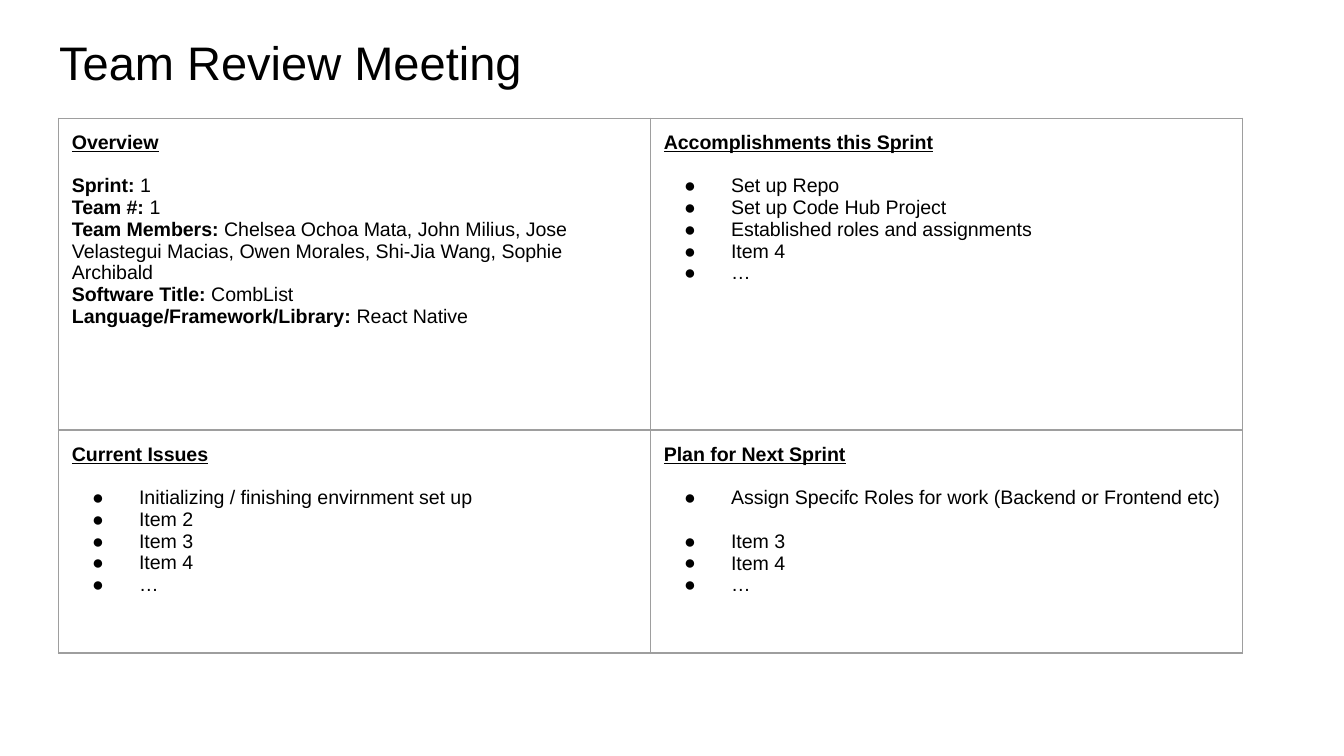
import pptx
import pptx.util
import pptx.dml.color
import pptx.enum.text
from pptx.oxml import parse_xml
from pptx.oxml.ns import nsdecls

Inches, Pt = pptx.util.Inches, pptx.util.Pt
BLACK = pptx.dml.color.RGBColor(0x00, 0x00, 0x00)
GREY = pptx.dml.color.RGBColor(0x9E, 0x9E, 0x9E)
FONT, SIZE, GAP = "Arial", Pt(10.5), Pt(11.7)
WIDTH, ROWS = Inches(8.81), [2.32, 1.66]

# Each cell: heading, then (label, text) lines; no label means a bullet.
CELLS = [
    [("Overview", [
        ("Sprint:", " 1"),
        ("Team #:", " 1"),
        ("Team Members: ", "Chelsea Ochoa Mata, John Milius, Jose Velastegui "
                           "Macias, Owen Morales, Shi-Jia Wang, Sophie Archibald"),
        ("Software Title:", " CombList"),
        ("Language/Framework/Library:", " React Native")]),
     ("Accomplishments this Sprint", [
        ("", "Set up Repo"),
        ("", "Set up Code Hub Project"),
        ("", "Established roles and assignments"),
        ("", "Item 4"),
        ("", "…")])],
    [("Current Issues", [
        ("", "Initializing / finishing envirnment set up"),
        ("", "Item 2"),
        ("", "Item 3"),
        ("", "Item 4"),
        ("", "…")]),
     ("Plan for Next Sprint", [
        ("", "Assign Specifc Roles for work (Backend or Frontend etc)"),
        ("", "Item 3"),
        ("", "Item 4"),
        ("", "…")])],
]
SPACED = CELLS[1][1][1][0][1]  # the one item with a gap below it


def style(para):
    """Set the body font."""
    para.font.name, para.font.size = FONT, SIZE
    para.font.color.rgb = BLACK


def bullet(para):
    """Add a hanging round bullet."""
    props = para._p.get_or_add_pPr()
    props.set("marL", str(Inches(0.5)))
    props.set("indent", str(Inches(-0.35)))
    for mark in (f'<a:buClr {nsdecls("a")}><a:srgbClr val="{BLACK}"/></a:buClr>',
                 f'<a:buSzPts {nsdecls("a")} val="1050"/>',
                 f'<a:buFont {nsdecls("a")} typeface="{FONT}"/>',
                 f'<a:buChar {nsdecls("a")} char="●"/>'):
        props.insert_element_before(
            parse_xml(mark), "a:tabLst", "a:defRPr", "a:extLst")


deck = pptx.Presentation()
deck.slide_width = Inches(10)
deck.slide_height = deck.slide_width * 9 // 16
slide = deck.slides.add_slide(deck.slide_layouts[5])

title = slide.shapes.title
title.left, title.top = Inches(0.34), Inches(0.15)
title.width, title.height = Inches(9.32), Inches(0.63)
frame = title.text_frame
frame.text = "Team Review Meeting"
frame.margin_left = frame.margin_right = Inches(0.1)
frame.margin_top = frame.margin_bottom = Inches(0.1)
frame.vertical_anchor = pptx.enum.text.MSO_ANCHOR.TOP
head = frame.paragraphs[0]
style(head)
head.font.size = Pt(25.2)
head.alignment = pptx.enum.text.PP_ALIGN.LEFT

table = slide.shapes.add_table(
    len(ROWS), 2, Inches(0.435), Inches(0.88),
    WIDTH, Inches(sum(ROWS))).table
table.first_row = table.horz_banding = False
for col in table.columns:
    col.width = WIDTH // 2
for row, height in zip(table.rows, ROWS):
    row.height = Inches(height)

for r, line in enumerate(CELLS):
    for c, (name, items) in enumerate(line):
        cell = table.cell(r, c)
        cell.margin_left = cell.margin_right = Inches(0.1)
        cell.margin_top = cell.margin_bottom = Inches(0.1)
        props = cell._tc.get_or_add_tcPr()
        for side in ("lnL", "lnR", "lnT", "lnB"):
            props.append(parse_xml(
                f'<a:{side} {nsdecls("a")} w="{Pt(0.75)}"><a:solidFill>'
                f'<a:srgbClr val="{GREY}"/></a:solidFill></a:{side}>'))
        cell.fill.background()

        head = cell.text_frame.paragraphs[0]
        head.text = name
        style(head)
        head.font.bold = head.font.underline = True
        head.space_after = GAP
        for label, text in items:
            para = cell.text_frame.add_paragraph()
            style(para)
            if label:
                run = para.add_run()
                run.text = label
                run.font.bold = True
            else:
                bullet(para)
            para.add_run().text = text
            if text == SPACED:
                para.space_after = GAP

deck.save("out.pptx")
